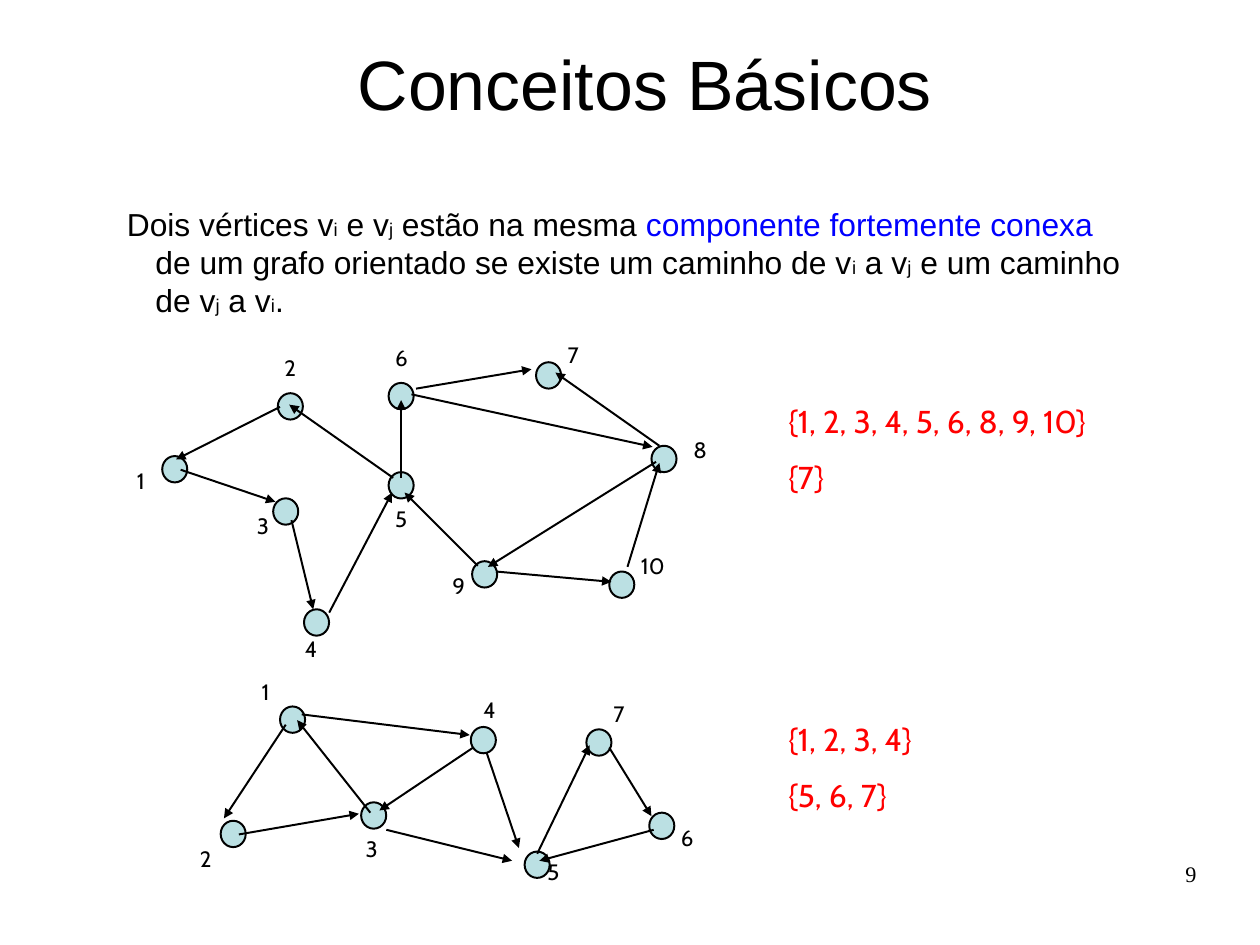
from lxml import etree
from pptx import Presentation
from pptx.dml.color import RGBColor
from pptx.enum.shapes import MSO_CONNECTOR, MSO_SHAPE
from pptx.enum.text import MSO_ANCHOR, MSO_AUTO_SIZE, PP_ALIGN
from pptx.oxml.ns import qn
from pptx.util import Pt

STRAIGHT, OVAL = MSO_CONNECTOR.STRAIGHT, MSO_SHAPE.OVAL
LEFT, CENTER, RIGHT = PP_ALIGN.LEFT, PP_ALIGN.CENTER, PP_ALIGN.RIGHT
TOP, MIDDLE = MSO_ANCHOR.TOP, MSO_ANCHOR.MIDDLE
FIXED = MSO_AUTO_SIZE.NONE

COLORS = {"ink": "000000", "term": "0000FF", "answer": "FF0000", "vertex": "BBE0E3"}
VERTEX_SIZE = (15.8, 16.6)
LINE_WIDTH = 1.25

# Each vertex: circle left, top, then label left, top
CYCLIC_VERTICES = {
    "1": (102.2, 287.3, 79.2, 290.9), "2": (175, 247.7, 172.1, 219.6),
    "3": (172.1, 313.9, 154.8, 319), "4": (191.5, 383.8, 185, 396.7),
    "5": (244.8, 297.4, 241.9, 314.6), "6": (244.8, 241.2, 241.9, 213.1),
    "7": (337.7, 228.2, 350.6, 211.7), "8": (410.4, 280.8, 429.8, 271.4),
    "9": (297.4, 353.5, 277.9, 357.1), "10": (383.8, 360, 396.7, 344.2),
}
SPLIT_VERTICES = {
    "1": (176.4, 445, 157.7, 423.4), "2": (139, 517, 118.8, 529.2),
    "3": (227.5, 505.4, 223.2, 522.7), "4": (296.6, 457.9, 297.4, 434.9),
    "5": (330.5, 536.4, 337.7, 537.1), "6": (409, 511.9, 421.9, 515.5),
    "7": (369.4, 459.4, 379.4, 437.8),
}

# Each edge: start x, y, then arrowhead x, y
CYCLIC_EDGES = [
    (113.8, 295.9, 173.5, 316.1), (183.6, 327.6, 197.3, 383.8),
    (207.4, 385.9, 247, 310.3), (176.4, 256.3, 110.9, 289.4),
    (247.7, 301, 182.2, 254.9), (252.7, 301, 252.7, 252),
    (301, 356.4, 254.9, 310.3), (413.3, 290.9, 307.4, 357.1),
    (312.5, 360, 385.2, 366.5), (395.3, 357.1, 415.4, 291.6),
    (259.2, 248.4, 411.1, 281.5), (262.1, 244.8, 334.8, 232.6),
    (415.4, 280.8, 349.9, 234.7),
]
SPLIT_EDGES = [
    (180, 456.5, 141.1, 515.5), (150.5, 525.6, 226.1, 512.6),
    (190.1, 450, 295.9, 463), (233.3, 511.9, 187.2, 453.6),
    (298.1, 470.9, 239, 510.5), (243.4, 522.7, 322.6, 542.2),
    (306.7, 474.5, 326.9, 534.2), (338.4, 537.8, 371.5, 469.4),
    (383.8, 470.9, 410.4, 514.1), (411.8, 522.7, 339.8, 542.2),
]

# Definition as (text, role) pieces
DEFINITION = [
    ("Dois vértices v", "ink"), ("i", "sub"), (" e v", "ink"), ("j", "sub"),
    (" estão na mesma ", "ink"), ("componente fortemente conexa", "term"),
    (" de um grafo orientado se existe um caminho de v", "ink"), ("i", "sub"),
    (" a v", "ink"), ("j", "sub"), (" e um caminho de v", "ink"), ("j", "sub"),
    (" a v", "ink"), ("i", "sub"), (".", "ink"),
]


def set_all(target, values):
    for name, value in values.items():
        setattr(target, name, value)


def prepare_frame(frame, anchor=TOP, inset=(7.2, 3.6)):
    across, down = map(Pt, inset)
    set_all(frame, {
        "word_wrap": True, "auto_size": FIXED, "vertical_anchor": anchor,
        "margin_left": across, "margin_right": across,
        "margin_top": down, "margin_bottom": down,
    })


def add_run(paragraph, text, size, font, color="ink"):
    run = paragraph.add_run()
    run.text = text
    set_all(run.font, {"size": Pt(size), "name": font})
    run.font.color.rgb = RGBColor.from_string(COLORS[color])
    return run


def fill_placeholder(holder, box, anchor):
    set_all(holder, dict(zip(("left", "top", "width", "height"), map(Pt, box))))
    prepare_frame(holder.text_frame, anchor)
    return holder.text_frame.paragraphs[0]


def add_text(shapes, box, lines, size, font="Cabin", color="ink",
             before=0, align=LEFT, inset=(7.2, 3.6)):
    frame = shapes.add_textbox(*map(Pt, box)).text_frame
    prepare_frame(frame, inset=inset)
    for index, line in enumerate(lines):
        paragraph = frame.add_paragraph() if index else frame.paragraphs[0]
        set_all(paragraph, {"space_before": Pt(before), "alignment": align})
        add_run(paragraph, line, size, font, color)


def add_vertex(shapes, left, top):
    vertex = shapes.add_shape(OVAL, Pt(left), Pt(top), *map(Pt, VERTEX_SIZE))
    vertex.shadow.inherit = False
    vertex.fill.solid()
    vertex.fill.fore_color.rgb = RGBColor.from_string(COLORS["vertex"])
    vertex.line.color.rgb = RGBColor.from_string(COLORS["ink"])
    vertex.line.width = Pt(LINE_WIDTH)


def add_edge(shapes, points):
    edge = shapes.add_connector(STRAIGHT, *map(Pt, points))
    edge.line.color.rgb = RGBColor.from_string(COLORS["ink"])
    edge.line.width = Pt(LINE_WIDTH)
    properties = edge.line._get_or_add_ln()
    etree.SubElement(properties, qn("a:tailEnd"), type="triangle")
    etree.SubElement(properties.getparent(), qn("a:effectLst"))


def add_graph(slide, vertices, edges):
    shapes = slide.shapes.add_group_shape().shapes
    for label, (_, _, left, top) in vertices.items():
        width = 26.6 if len(label) == 1 else 39.6
        add_text(shapes, (left, top, width, 26.6), [label], 14, before=8.7)
    for left, top, _, _ in vertices.values():
        add_vertex(shapes, left, top)
    for points in edges:
        add_edge(shapes, points)


def add_definition(holder):
    paragraph = fill_placeholder(holder, (72.7, 125.3, 641.5, 420.5), TOP)
    set_all(paragraph, {"space_before": Pt(5), "alignment": LEFT})
    layout = paragraph._p.get_or_add_pPr()
    layout.set("marL", str(Pt(18)))
    layout.set("indent", str(Pt(-18)))
    etree.SubElement(layout, qn("a:buNone"))
    for text, role in DEFINITION:
        run = add_run(paragraph, text, 20, "Arial", "term" if role == "term" else "ink")
        if role == "sub":
            run._r.get_or_add_rPr().set("baseline", "-1000")


def main():
    deck = Presentation()
    deck.slide_width, deck.slide_height = Pt(793.75), Pt(595.25)
    slide = deck.slides.add_slide(deck.slide_layouts[1])

    # Title and definition
    heading = fill_placeholder(slide.shapes.title, (125.3, 18.7, 562.3, 66.2), MIDDLE)
    heading.alignment = CENTER
    add_run(heading, "Conceitos Básicos", 44, "Arial")
    add_definition(slide.placeholders[1])

    # Strongly connected components of each graph
    for top, components in (
        (249.8, ["{1, 2, 3, 4, 5, 6, 8, 9, 10}", "{7}"]),
        (450, ["{1, 2, 3, 4}", "{5, 6, 7}"]),
    ):
        add_text(slide.shapes, (489.6, top, 251.3, 72.7), components, 19.9,
                 color="answer", before=11.2)

    # Directed graphs
    add_graph(slide, CYCLIC_VERTICES, CYCLIC_EDGES)
    add_graph(slide, SPLIT_VERTICES, SPLIT_EDGES)

    # Page number
    add_text(slide.shapes, (568.8, 542.2, 185, 41), ["9"], 14,
             font="Times New Roman", align=RIGHT, inset=(0, 0))
    deck.save("out.pptx")


if __name__ == "__main__":
    main()
